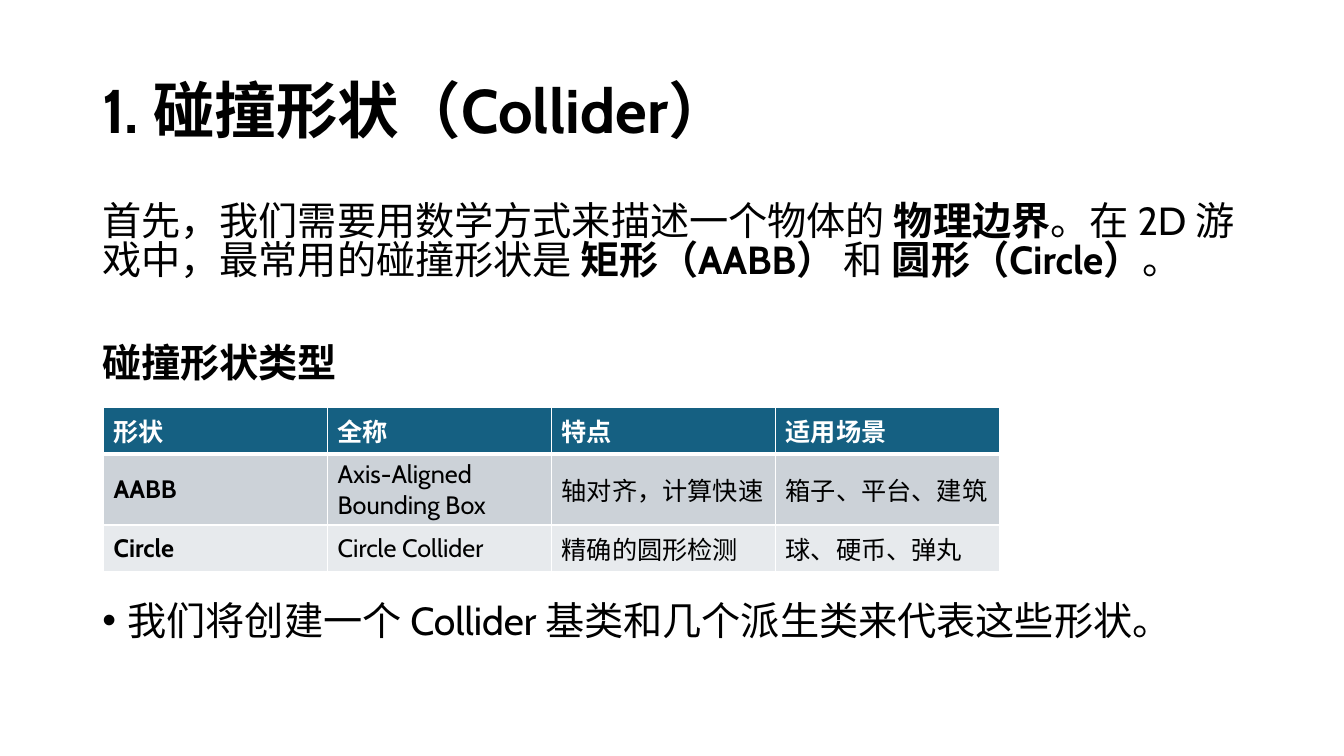
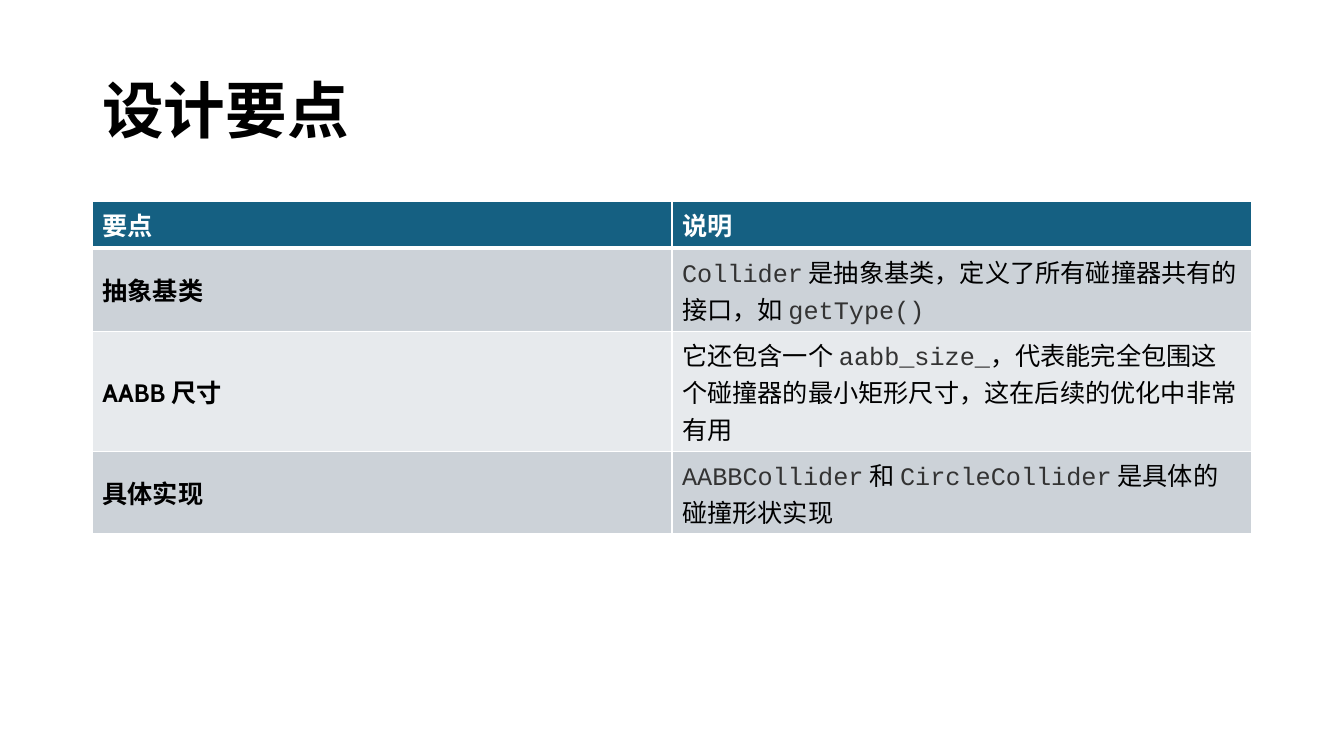
"""Build two slides on collision shapes: a title and a table each."""
from lxml.etree import SubElement
from pptx import Presentation
from pptx.dml.color import RGBColor
from pptx.enum.text import MSO_ANCHOR
from pptx.oxml.ns import qn
from pptx.util import Pt

FONT, CODE = "Cabin", "Courier New"
BLACK, WHITE, GRAY = "000000", "FFFFFF", "333333"
HEAD, BANDS = "156082", ("CCD2D8", "E7EAED")
LEFT, WIDE = 66, 828


def hue(text):
    """Turn a hex string into a colour."""
    return RGBColor.from_string(text)


def write(para, text, size, color=BLACK, bold=False, code=False):
    """Fill a paragraph; parts between stars are code or bold."""
    for num, part in enumerate(text.split("*")):
        if not part:
            continue
        mark = num % 2 == 1
        run = para.add_run()
        run.text = part
        font = run.font
        font.size = Pt(size)
        font.name = CODE if mark and code else FONT
        font.bold = bold or (mark and not code)
        font.color.rgb = hue(GRAY if mark and code else color)


pages = [
    {
        "title": "1. 碰撞形状（Collider）",
        "body": [
            ("首先，我们需要用数学方式来描述一个物体的 *物理边界*。在 2D 游戏中，"
             "最常用的碰撞形状是 *矩形（AABB）* 和 *圆形（Circle）*。", 0, False),
            ("*碰撞形状类型*", 45.5, False),
            ("我们将创建一个 Collider 基类和几个派生类来代表这些形状。", 156, True),
        ],
        "spot": (74, 291, 640),
        "highs": (33.2, 50.8, 33.2),
        "rows": [
            ("形状", "全称", "特点", "适用场景"),
            ("AABB", "Axis-Aligned Bounding Box", "轴对齐，计算快速", "箱子、平台、建筑"),
            ("Circle", "Circle Collider", "精确的圆形检测", "球、硬币、弹丸"),
        ],
    },
    {
        "title": "设计要点",
        "body": [],
        "spot": (LEFT, 144, WIDE),
        "highs": (33.2, 59.5, 85.7, 59),
        "rows": [
            ("要点", "说明"),
            ("抽象基类", "*Collider* 是抽象基类，定义了所有碰撞器共有的接口，如 *getType()*"),
            ("AABB 尺寸", "它还包含一个 *aabb_size_*，代表能完全包围这个碰撞器的最小矩形尺寸，"
                        "这在后续的优化中非常有用"),
            ("具体实现", "*AABBCollider* 和 *CircleCollider* 是具体的碰撞形状实现"),
        ],
    },
]

deck = Presentation()
deck.slide_width, deck.slide_height = Pt(960), Pt(540)

for page in pages:
    slide = deck.slides.add_slide(deck.slide_layouts[6])
    frame = slide.shapes.add_textbox(Pt(LEFT), Pt(28.75), Pt(WIDE), Pt(104.4)).text_frame
    frame.word_wrap = True
    frame.vertical_anchor = MSO_ANCHOR.MIDDLE
    para = frame.paragraphs[0]
    para.line_spacing = 0.9
    write(para, page["title"], 44, bold=True)

    if page["body"]:
        frame = slide.shapes.add_textbox(Pt(LEFT), Pt(142.4), Pt(WIDE), Pt(342)).text_frame
        frame.word_wrap = True
        for num, (text, gap, dot) in enumerate(page["body"]):
            para = frame.add_paragraph() if num else frame.paragraphs[0]
            para.line_spacing = Pt(28)
            para.space_before = Pt(gap)
            write(para, text, 28)
            if dot:
                props = para._p.get_or_add_pPr()
                props.set("marL", str(Pt(18)))
                props.set("indent", str(-Pt(18)))
                SubElement(props, qn("a:buFont"), typeface="Arial")
                SubElement(props, qn("a:buChar"), char="•")

    rows, highs = page["rows"], page["highs"]
    left, top, wide = page["spot"]
    count = len(rows[0])
    table = slide.shapes.add_table(
        len(rows), count, Pt(left), Pt(top), Pt(wide), Pt(sum(highs))).table
    for col in table.columns:
        col.width = Pt(wide / count)
    for r, row in enumerate(rows):
        table.rows[r].height = Pt(highs[r])
        for c, text in enumerate(row):
            cell = table.cell(r, c)
            cell.vertical_anchor = MSO_ANCHOR.MIDDLE
            props = cell._tc.get_or_add_tcPr()
            for side in "LRTB":
                thick = (r, side) in ((0, "B"), (1, "T"))
                line = SubElement(props, qn("a:ln" + side), w=str(Pt(3 if thick else 1)))
                fill = SubElement(line, qn("a:solidFill"))
                SubElement(fill, qn("a:srgbClr"), val=WHITE)
            cell.fill.solid()
            cell.fill.fore_color.rgb = hue(BANDS[(r - 1) % 2] if r else HEAD)
            write(cell.text_frame.paragraphs[0], text, 18,
                  BLACK if r else WHITE, r == 0 or c == 0, True)

deck.save("out.pptx")
